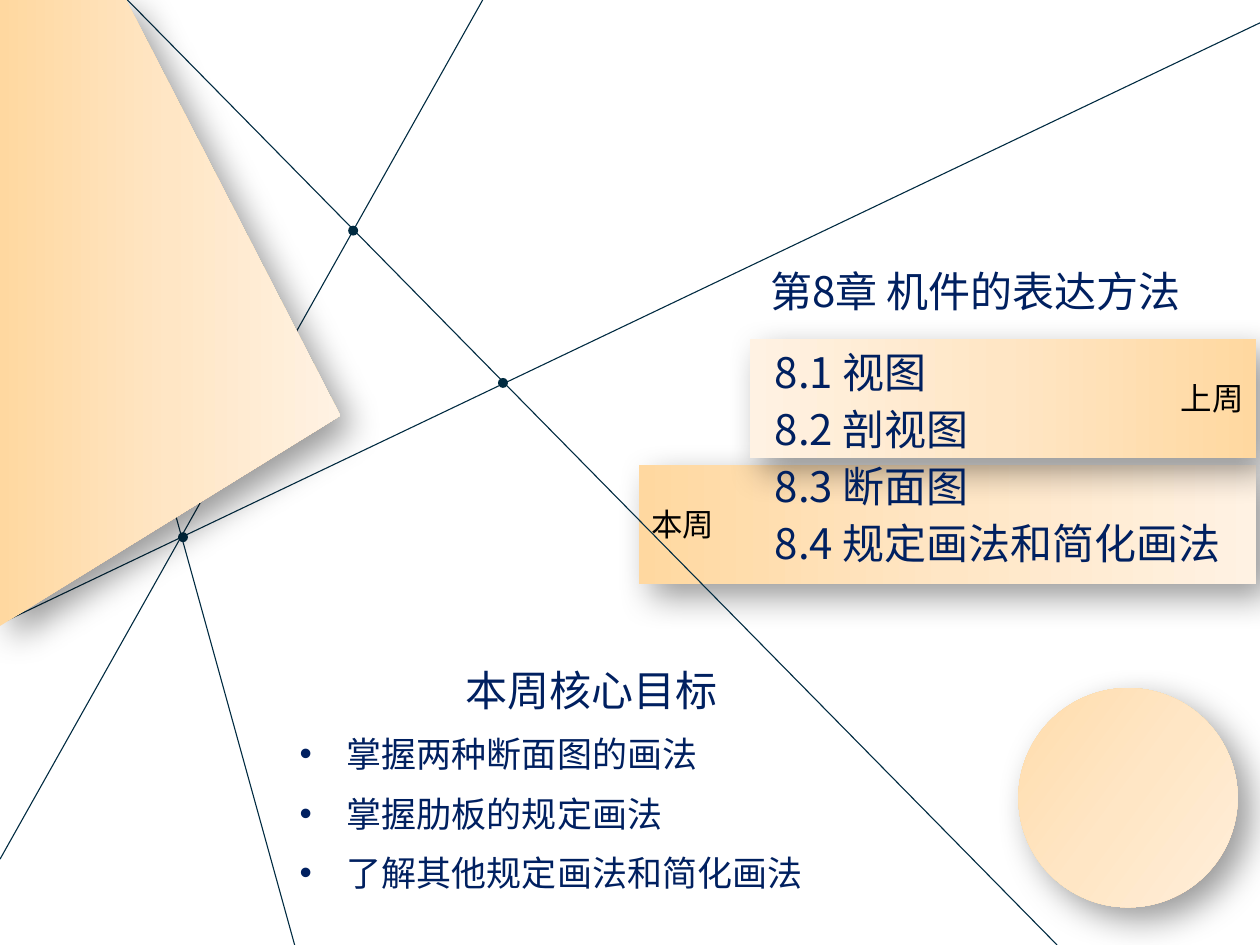
"""Build the chapter 8 overview slide with its weekly goals."""
from copy import deepcopy

from lxml.etree import SubElement
from pptx import Presentation
from pptx.dml.color import RGBColor
from pptx.enum.shapes import MSO_CONNECTOR, MSO_SHAPE
from pptx.enum.text import MSO_ANCHOR, PP_ALIGN
from pptx.oxml.ns import qn
from pptx.util import Cm, Pt

HUES = {"navy": "002060", "line": "002B41", "black": "000000",
        "deep": "FFD8A0", "mid": "FFE6C5", "pale": "FFF2E3"}
FACE = "Noto Sans CJK SC"


def hue(name):
    return RGBColor.from_string(HUES[name])


class Deck:
    """Hold the style and the current slide."""

    def __init__(self):
        self.prs = Presentation()
        self.prs.slide_width, self.prs.slide_height = Cm(25.4), Cm(19.05)
        self.slide = self.prs.slides.add_slide(self.prs.slide_layouts[5])
        self.shapes = self.slide.shapes

    def words(self, para, text, size=24, color="navy", align=PP_ALIGN.LEFT, gap=0):
        para.alignment = align
        run = para.add_run()
        run.text = text
        for key, val in {"name": FACE, "size": Pt(size), "bold": False}.items():
            setattr(run.font, key, val)
        run.font.color.rgb = hue(color)
        SubElement(run.font._element, qn("a:ea"), typeface=FACE)
        props = para._p.get_or_add_pPr()
        if gap:
            space = SubElement(props, qn("a:spcBef"))
            SubElement(space, qn("a:spcPct"), val=str(gap * 1000))
        return props

    def title(self, text, *box):
        head = self.shapes.title
        for key, val in zip(("left", "top", "width", "height"), box):
            setattr(head, key, Cm(val))
        head.text_frame.vertical_anchor = MSO_ANCHOR.TOP
        self.words(head.text_frame.paragraphs[0], text, gap=20)

    def frame(self, *box):
        frame = self.shapes.add_textbox(*map(Cm, box)).text_frame
        frame.word_wrap = True
        return frame

    def label(self, text, *box):
        self.words(self.frame(*box).paragraphs[0], text, gap=20)

    def goals(self, head, items, *box):
        frame = self.frame(*box)
        for num, text in enumerate([head, *items]):
            para = frame.add_paragraph() if num else frame.paragraphs[0]
            size, align = (20, PP_ALIGN.LEFT) if num else (24, PP_ALIGN.CENTER)
            props = self.words(para, text, size, align=align, gap=50)
            props.set("marL", str(Cm(0.95)))
            props.set("indent", str(Cm(-0.95)))
            if num:
                SubElement(props, qn("a:buFont"), typeface="Arial")
                SubElement(props, qn("a:buChar"), char="•")

    def glow(self, shape, angle):
        shape.line.fill.background()
        shape.fill.gradient()
        shape.fill.gradient_angle = angle
        stops = shape._element.spPr.find(".//" + qn("a:gsLst"))
        stops.insert(1, deepcopy(stops[0]))
        tones = ("deep", "mid", "pale")
        for num, (stop, tone) in enumerate(zip(shape.fill.gradient_stops, tones)):
            stop.position = num / 2
            stop.color.rgb = hue(tone)
        shape.shadow.inherit = False
        cast = SubElement(shape._element.spPr.find(qn("a:effectLst")), qn("a:outerShdw"))
        for key, val in {"blurRad": Pt(20), "dist": Pt(10), "dir": 45 * 60000,
                         "algn": "tl", "rotWithShape": 0}.items():
            cast.set(key, str(val))
        tint = SubElement(cast, qn("a:srgbClr"), val=HUES["black"])
        SubElement(tint, qn("a:alpha"), val="40000")

    def band(self, text, align, angle, *box):
        shape = self.shapes.add_shape(MSO_SHAPE.RECTANGLE, *map(Cm, box))
        self.glow(shape, angle)
        shape.text_frame.word_wrap = True
        shape.text_frame.vertical_anchor = MSO_ANCHOR.MIDDLE
        self.words(shape.text_frame.paragraphs[0], text, 18, "black", align)

    def line(self, *ends):
        line = self.shapes.add_connector(MSO_CONNECTOR.STRAIGHT, *map(Cm, ends))
        line.line.color.rgb = hue("line")
        line.line.width = Pt(0.63)
        SubElement(line._element.spPr, qn("a:effectLst"))

    def disc(self, x, y, size):
        box = (x - size / 2, y - size / 2, size, size)
        return self.shapes.add_shape(MSO_SHAPE.OVAL, *map(Cm, box))

    def dot(self, x, y):
        dot = self.disc(x, y, 0.2)
        dot.shadow.inherit = False
        dot.fill.solid()
        dot.fill.fore_color.rgb = hue("line")
        dot.line.fill.background()

    def sheet(self, points):
        first, *rest = [(Cm(x), Cm(y)) for x, y in points]
        pen = self.shapes.build_freeform(*first)
        pen.add_line_segments(rest, close=True)
        self.glow(pen.convert_to_shape(), 0)

    def ball(self, x, y, size, turn):
        ball = self.disc(x, y, size)
        ball.rotation = turn
        self.glow(ball, 180)


def main():
    deck = Deck()
    deck.title("第8章 机件的表达方法", 15.27, 5.23, 10.52, 1.27)
    deck.band("本周", PP_ALIGN.LEFT, 0, 12.88, 9.37, 12.45, 2.4)
    deck.band("上周", PP_ALIGN.RIGHT, 180, 15.11, 6.83, 10.21, 2.4)
    deck.goals("本周核心目标",
               ["掌握两种断面图的画法", "掌握肋板的规定画法", "了解其他规定画法和简化画法"],
               5.79, 13.28, 12.27, 5.13)
    for ends in [(21.31, 19.05, 2.57, 0), (9.73, 0, 0, 17.32),
                 (25.4, 0.46, 0.05, 12.55), (5.94, 19.05, 1.22, 2.01)]:
        deck.line(*ends)
    for spot in [(7.12, 4.65), (3.69, 10.83), (10.14, 7.72)]:
        deck.dot(*spot)
    deck.sheet([(2.54, 0), (0, 0), (0, 12.62), (6.86, 8.38)])
    topics = [("8.1 视图", 6.1), ("8.2 剖视图", 5.66),
              ("8.3 断面图", 7.82), ("8.4 规定画法和简化画法", 10.03)]
    for row, (text, width) in enumerate(topics):
        deck.label(text, 15.37, 6.86 + row * 1.15, width, 1.27)
    deck.ball(22.74, 16.08, 4.42, 216.4)
    deck.prs.save("out.pptx")


if __name__ == "__main__":
    main()
